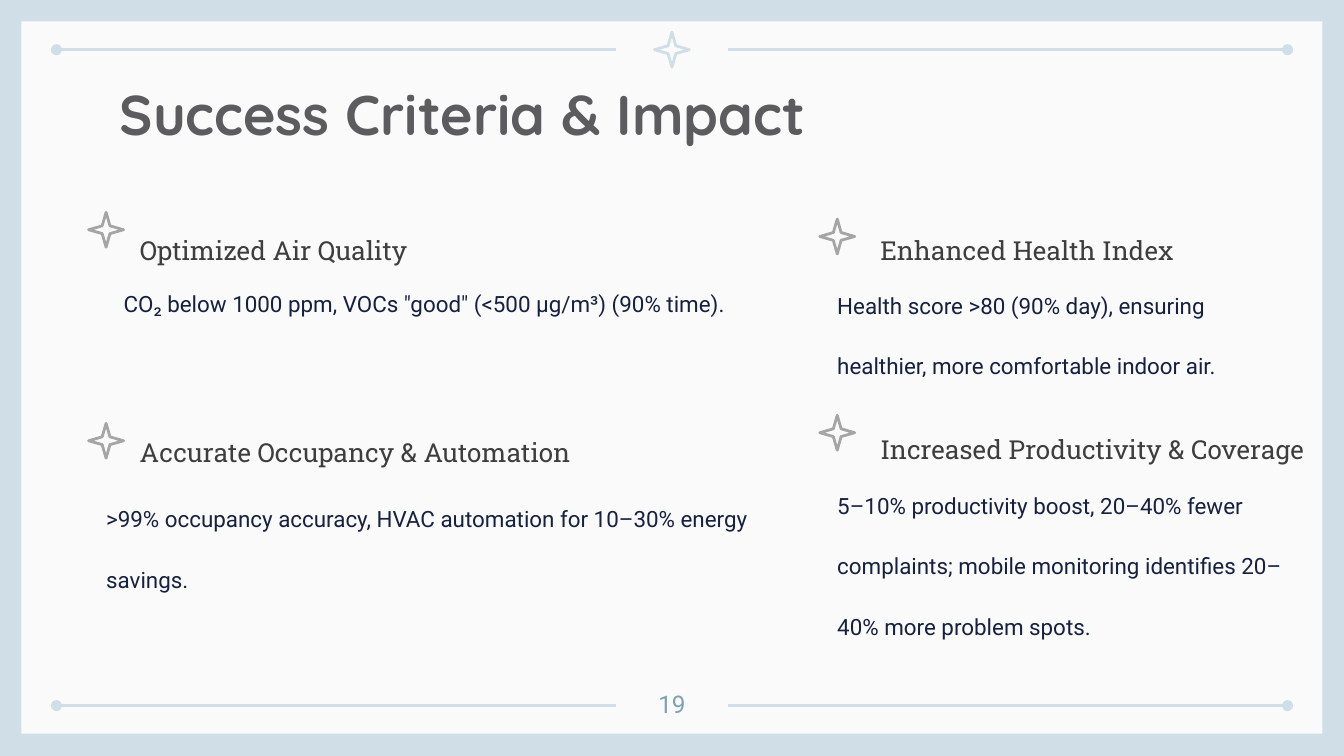
from dataclasses import dataclass

import pptx
import pptx.dml.color
import pptx.enum.shapes
import pptx.enum.text
import pptx.oxml.ns
import pptx.util
from lxml import etree

Inches = pptx.util.Inches
Align = pptx.enum.text.PP_ALIGN

FRAME = "CFDEE7"
STAR_SIZE = 0.26


@dataclass
class Box:
    left: float
    top: float
    width: float
    height: float

    def lengths(self) -> tuple:
        return tuple(Inches(v) for v in (self.left, self.top, self.width, self.height))


@dataclass
class Criterion:
    heading: str
    body: str
    star: tuple[float, float]
    heading_box: Box
    body_box: Box


CRITERIA = [
    Criterion("Optimized Air Quality",
              'CO₂ below 1000 ppm, VOCs "good" (<500 μg/m³) (90% time).',
              (0.66, 1.58), Box(1.04, 1.54, 3.01, 0.37), Box(0.92, 1.91, 4.67, 0.86)),
    Criterion("Enhanced Health Index",
              "Health score >80 (90% day), ensuring healthier, more comfortable indoor air.",
              (6.1, 1.63), Box(6.55, 1.54, 3.28, 0.37), Box(6.23, 1.92, 3.44, 0.75)),
    Criterion("Accurate Occupancy & Automation",
              ">99% occupancy accuracy, HVAC automation for 10–30% energy savings.",
              (0.66, 3.15), Box(1.04, 3.04, 4.84, 0.37), Box(0.79, 3.51, 5.1, 0.89)),
    Criterion("Increased Productivity & Coverage",
              "5–10% productivity boost, 20–40% fewer complaints; mobile monitoring "
              "identifies 20–40% more problem spots.",
              (6.1, 3.09), Box(6.55, 3.02, 4.76, 0.37), Box(6.23, 3.41, 3.6, 0.75)),
]


def color(value: str) -> pptx.dml.color.RGBColor:
    return pptx.dml.color.RGBColor.from_string(value)


def write_text(shape, text: str, *, size: float, font: str, fill: str, bold: bool = False,
               align=Align.LEFT, spacing: float = 1.0, inset: float = 0) -> None:
    frame = shape.text_frame
    frame.word_wrap = True
    frame.auto_size = pptx.enum.text.MSO_AUTO_SIZE.NONE
    frame.vertical_anchor = pptx.enum.text.MSO_ANCHOR.TOP
    frame.margin_left = frame.margin_right = Inches(inset)
    frame.margin_top = frame.margin_bottom = Inches(inset)
    paragraph = frame.paragraphs[0]
    paragraph.alignment = align
    paragraph.line_spacing = spacing
    paragraph.space_before = pptx.util.Pt(0)
    run = paragraph.add_run()
    run.text = text
    run.font.size = pptx.util.Pt(size)
    run.font.name = font
    run.font.bold = bold
    run.font.color.rgb = color(fill)


def add_text(slide, box: Box, text: str, **text_format) -> None:
    write_text(slide.shapes.add_textbox(*box.lengths()), text, **text_format)


def add_panel(slide, box: Box, fill: str) -> None:
    shape = slide.shapes.add_shape(pptx.enum.shapes.MSO_SHAPE.RECTANGLE, *box.lengths())
    shape.shadow.inherit = False
    shape.fill.solid()
    shape.fill.fore_color.rgb = color(fill)
    shape.line.fill.background()


def add_star(slide, left: float, top: float, line: str) -> None:
    box = Box(left, top, STAR_SIZE, STAR_SIZE)
    shape = slide.shapes.add_shape(pptx.enum.shapes.MSO_SHAPE.STAR_4_POINT, *box.lengths())
    shape.shadow.inherit = False
    shape.adjustments[0] = 0.157
    shape.fill.background()
    shape.line.color.rgb = color(line)
    shape.line.width = pptx.util.Pt(1.5)


def add_rule(slide, start: float, end: float, y: float, dot: str) -> None:
    connector = slide.shapes.add_connector(
        pptx.enum.shapes.MSO_CONNECTOR.STRAIGHT, Inches(start), Inches(y), Inches(end), Inches(y))
    connector.line.color.rgb = color(FRAME)
    connector.line.width = pptx.util.Pt(1.5)
    qn = pptx.oxml.ns.qn
    properties = connector._element.spPr
    etree.SubElement(properties.find(qn("a:ln")), qn(f"a:{dot}"), type="oval")
    etree.SubElement(properties, qn("a:effectLst"))


def main() -> None:
    presentation = pptx.Presentation()
    presentation.slide_width = Inches(10)
    presentation.slide_height = Inches(10 * 9 / 16)
    slide = presentation.slides.add_slide(presentation.slide_layouts[5])
    slide.background.fill.solid()
    slide.background.fill.fore_color.rgb = color(FRAME)

    add_panel(slide, Box(0.16, 0.16, 9.68, 5.3), "FAFAFA")
    for y in (0.37, 5.25):
        add_rule(slide, 0.42, 4.58, y, "headEnd")
        add_rule(slide, 5.42, 9.58, y, "tailEnd")
    add_star(slide, 4.87, 0.24, FRAME)

    title = slide.shapes.title
    title.left, title.top, title.width, title.height = Box(0.79, 0.49, 8.43, 0.63).lengths()
    write_text(title, "Success Criteria & Impact", size=30, font="Quicksand",
               fill="5C5C5F", bold=True, inset=0.1)
    slide.shapes._spTree.append(title._element)

    add_text(slide, Box(4.7, 5.03, 0.6, 0.36), "19", size=13, font="Roboto",
             fill="809FAF", align=Align.CENTER, inset=0.1)

    for criterion in CRITERIA:
        add_star(slide, *criterion.star, "A5A5A5")
        add_text(slide, criterion.heading_box, criterion.heading, size=14,
                 font="Roboto Slab", fill="3E3E3E", spacing=1.89)
        add_text(slide, criterion.body_box, criterion.body, size=12,
                 font="Roboto", fill="15213F", spacing=2.25)

    presentation.save("out.pptx")


if __name__ == "__main__":
    main()
